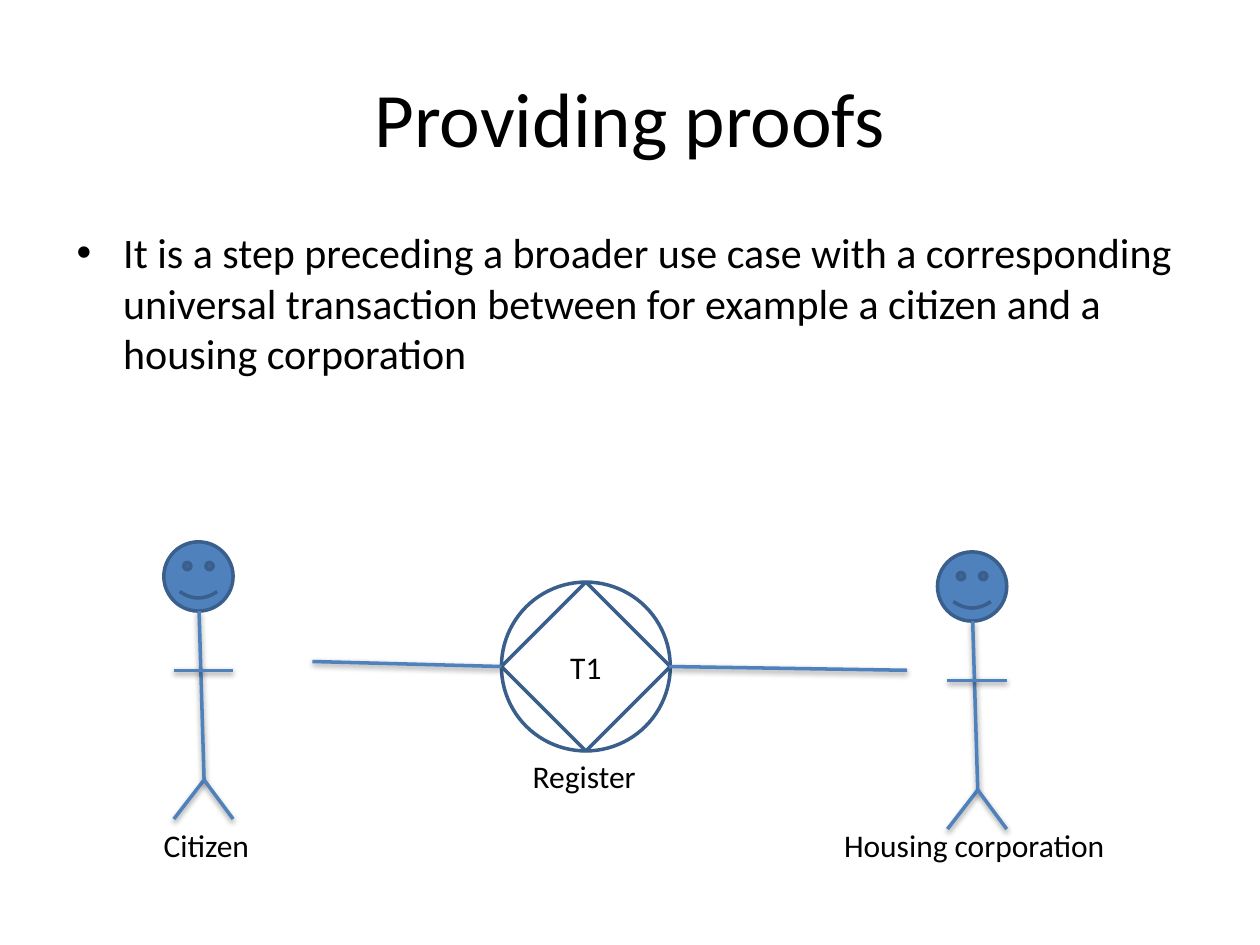
from pptx import Presentation
from pptx.dml.color import RGBColor
from pptx.enum.shapes import MSO_CONNECTOR as Link, MSO_SHAPE as Shape
from pptx.enum.text import MSO_ANCHOR as Anchor, MSO_AUTO_SIZE as Fit, PP_ALIGN as Align
from pptx.oxml import parse_xml
from pptx.oxml.ns import nsdecls
from pptx.util import Inches, Pt

THEME = {
    "font": "Calibri",
    "ink": RGBColor(0x00, 0x00, 0x00),
    "blue": RGBColor(0x4F, 0x81, 0xBD),
    "edge": RGBColor(0x3A, 0x5F, 0x8C),
    "title": Pt(44),
    "body": Pt(24),
    "label": Pt(18),
    "line": Pt(2),
}
SHADOW = (
    f'<a:effectLst {nsdecls("a")}>'
    '<a:outerShdw blurRad="40000" dist="20000" dir="5400000" rotWithShape="0">'
    '<a:srgbClr val="000000"><a:alpha val="38000"/></a:srgbClr>'
    '</a:outerShdw></a:effectLst>'
)

deck = Presentation()
deck.slide_width, deck.slide_height = Inches(10), Inches(7.5)
page = deck.slides.add_slide(deck.slide_layouts[6])


def write(box, text, size, align=Align.LEFT, anchor=Anchor.TOP, wrap=True):
    frame = box.text_frame
    frame.word_wrap, frame.vertical_anchor = wrap, anchor
    para = frame.paragraphs[0]
    para.alignment = align
    span = para.add_run()
    span.text = text
    look = {"name": THEME["font"], "size": THEME[size]}
    for key, value in look.items():
        setattr(span.font, key, value)
    span.font.color.rgb = THEME["ink"]
    return para


def draw_line(*ends):
    line = page.shapes.add_connector(Link.STRAIGHT, *map(Inches, ends))
    line.line.color.rgb = THEME["blue"]
    line.line.width = THEME["line"]
    line._element.spPr.append(parse_xml(SHADOW))


title = page.shapes.add_textbox(Inches(0.5), Inches(0.3), Inches(9), Inches(1.25))
write(title, "Providing proofs", "title", Align.CENTER, Anchor.MIDDLE)

body = page.shapes.add_textbox(Inches(0.5), Inches(1.75), Inches(9), Inches(4.95))
para = write(
    body,
    "It is a step preceding a broader use case with a corresponding universal "
    "transaction between for example a citizen and a housing corporation",
    "body",
)
bullet = para._p.get_or_add_pPr()
bullet.set("marL", str(Inches(0.38)))
bullet.set("indent", str(Inches(-0.37)))
bullet.append(parse_xml(f'<a:buFont {nsdecls("a")} typeface="Arial"/>'))
bullet.append(parse_xml(f'<a:buChar {nsdecls("a")} char="•"/>'))

outlines = []
for left, top in [(1.3, 4.3), (7.44, 4.38)]:
    head = page.shapes.add_shape(
        Shape.SMILEY_FACE, Inches(left), Inches(top), Inches(0.55), Inches(0.55)
    )
    head.fill.solid()
    head.fill.fore_color.rgb = THEME["blue"]
    outlines.append(head)
    neck, hip = left + 0.28, left + 0.32
    draw_line(neck, top + 0.55, hip, top + 1.89)
    draw_line(left + 0.08, top + 1.02, left + 0.55, top + 1.02)
    for foot in (left + 0.08, left + 0.55):
        draw_line(hip, top + 1.89, foot, top + 2.2)

for kind in (Shape.OVAL, Shape.DIAMOND):
    transaction = page.shapes.add_shape(
        kind, Inches(3.98), Inches(4.62), Inches(1.34), Inches(1.34)
    )
    transaction.fill.background()
    outlines.append(transaction)
write(transaction, "T1", "label", Align.CENTER, Anchor.MIDDLE)

for outline in outlines:
    outline.shadow.inherit = False
    outline.line.color.rgb = THEME["edge"]
    outline.line.width = THEME["line"]

for text, left, top, width in [
    ("Register", 4.13, 5.96, 1.03),
    ("Citizen", 1.2, 6.51, 0.9),
    ("Housing corporation", 6.6, 6.51, 2.28),
]:
    label = page.shapes.add_textbox(Inches(left), Inches(top), Inches(width), Inches(0.4))
    write(label, text, "label", wrap=False)
    label.text_frame.auto_size = Fit.SHAPE_TO_FIT_TEXT

draw_line(2.48, 5.25, 3.98, 5.29)
draw_line(5.31, 5.29, 7.2, 5.32)

deck.save("out.pptx")
